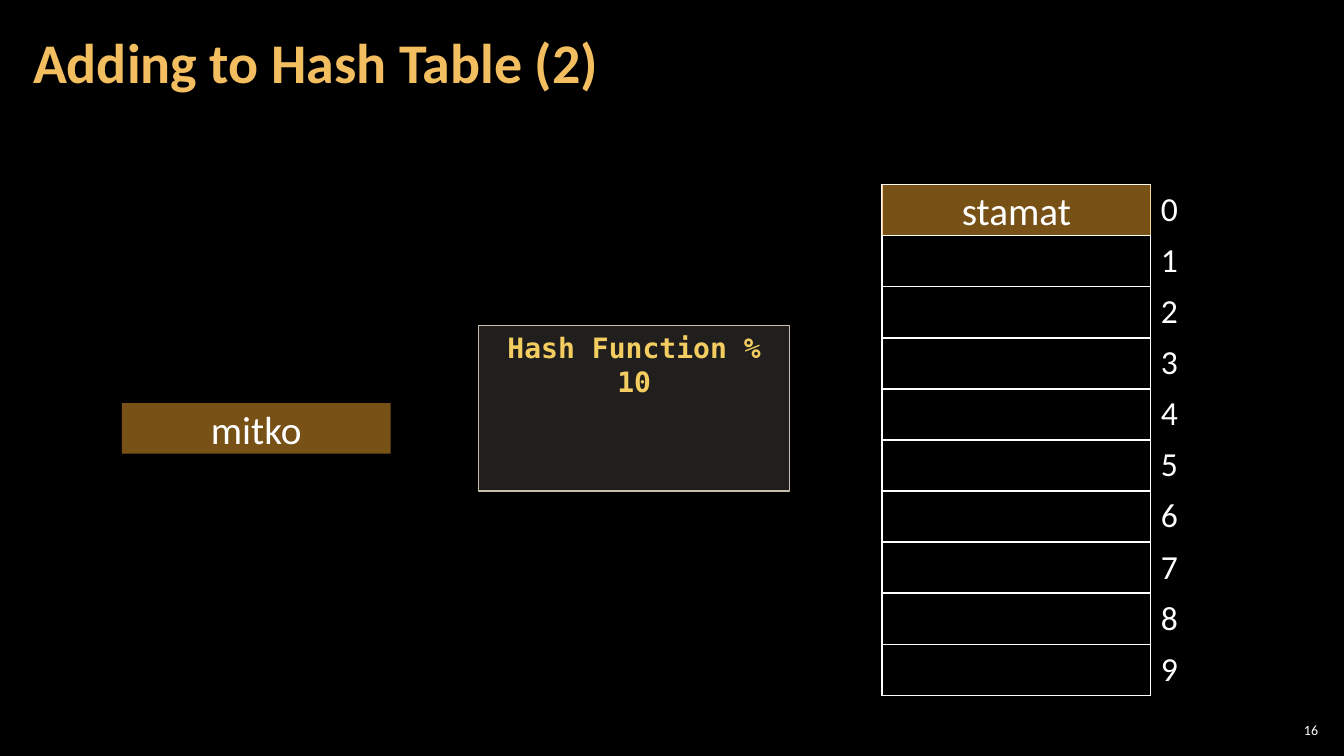
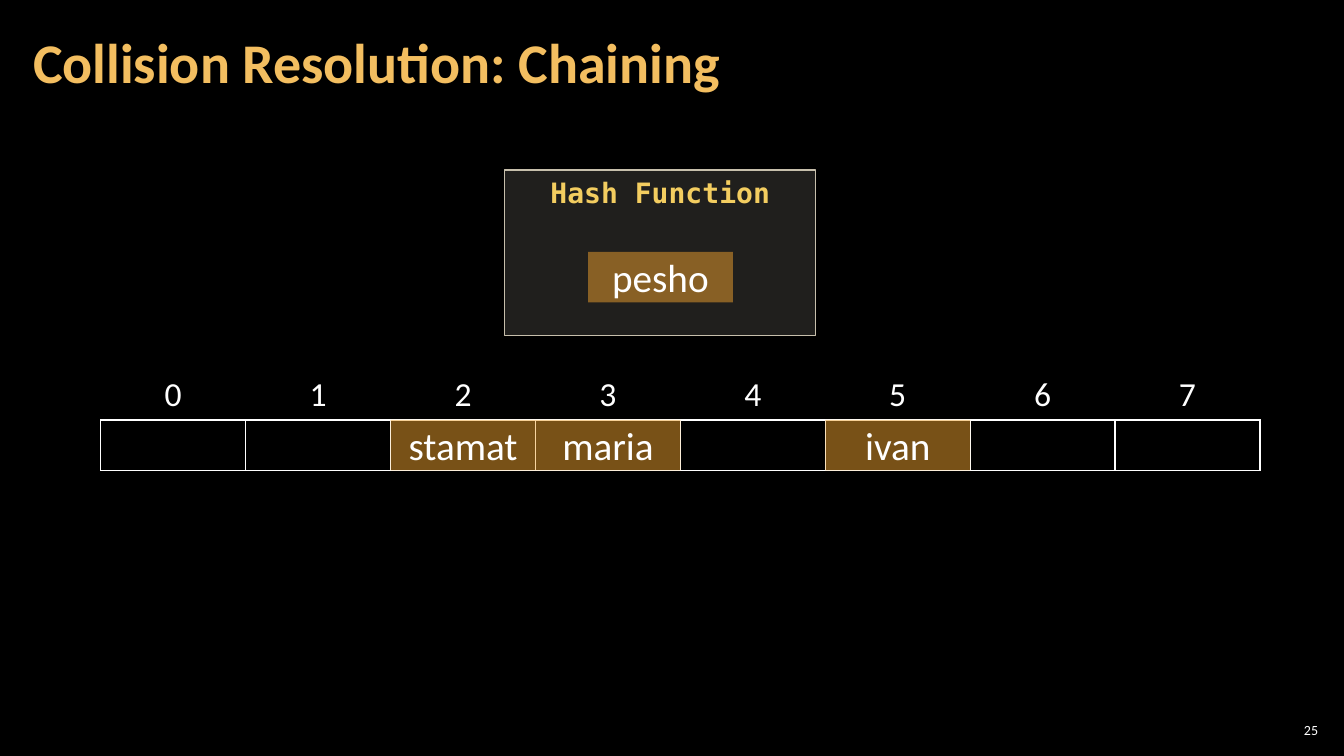
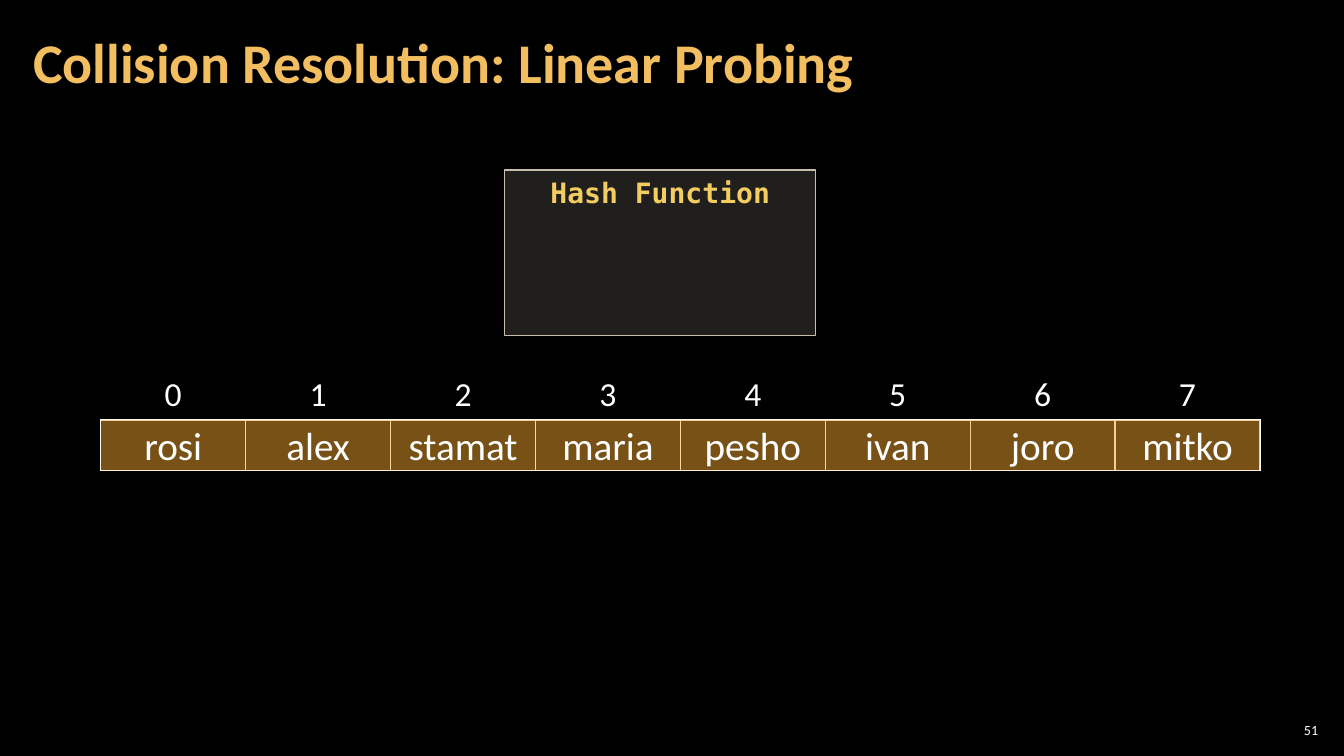
from dataclasses import dataclass

from lxml.etree import SubElement
from pptx import Presentation
from pptx.dml.color import RGBColor
from pptx.enum.shapes import MSO_SHAPE as Shape
from pptx.enum.text import MSO_ANCHOR as Anchor, MSO_AUTO_SIZE as AutoSize, PP_ALIGN as Align
from pptx.oxml.ns import qn
from pptx.util import Emu, Inches, Pt

COLUMNS, ROWS = 160, 90        # slide grid; one unit is a twelfth of an inch
UNIT = Inches(1) // 12
NO_STYLE_NO_GRID = "{2D5ABB26-0587-4C30-8999-92F81FD0307C}"


@dataclass(frozen=True)
class Theme:
    background: str = "000000"
    text: str = "FFFFFF"
    title: str = "F3BE60"
    entry: str = "F0A22E"
    entry_opacity: int = 50
    panel: str = "D9D5C7"
    panel_opacity: int = 15
    panel_line: str = "C7BFAC"
    panel_text: str = "F3CD60"
    font: str = "Calibri"
    code_font: str = "DejaVu Sans Mono"
    title_size: int = 40
    entry_size: int = 28
    index_size: int = 24
    panel_size: int = 20
    number_size: int = 10
    line_width: int = 1


def units(*lengths):
    return [Emu(round(length * UNIT)) for length in lengths]


class HashDeck:
    def __init__(self, theme):
        self.theme = theme
        self.deck = Presentation()
        self.deck.slide_width, self.deck.slide_height = units(COLUMNS, ROWS)
        fill = self.deck.slide_master.background.fill
        fill.solid()
        fill.fore_color.rgb = RGBColor.from_string(theme.background)
        self.slide = None

    def set_text(self, frame, text, size, color=None, font=None, bold=False,
                 align=Align.CENTER, anchor=Anchor.MIDDLE):
        frame.text = text
        frame.word_wrap = True
        frame.vertical_anchor = anchor
        para = frame.paragraphs[0]
        para.alignment = align
        for span in para.runs:
            span.font.name = font or self.theme.font
            span.font.size = Pt(size)
            span.font.bold = bold
            span.font.color.rgb = RGBColor.from_string(color or self.theme.text)

    # Title and page number
    def add_page(self, title, number):
        theme = self.theme
        self.slide = self.deck.slides.add_slide(self.deck.slide_layouts[5])
        box = self.slide.shapes.title
        box.left, box.top, box.width, box.height = units(2.5, 0.5, 125.6, 14.5)
        frame = box.text_frame
        frame.auto_size = AutoSize.NONE
        self.set_margins(frame, 0.12, 0.04)
        self.set_text(frame, title, theme.title_size, theme.title, bold=True, align=Align.LEFT)
        frame.paragraphs[0].line_spacing = 0.9

        box = self.slide.shapes.add_textbox(*units(151.8, 85.7, 5.6, 2.5))
        self.set_margins(box.text_frame, 0.04, 0.04)
        self.set_text(box.text_frame, str(number), theme.number_size, align=Align.RIGHT)

    @staticmethod
    def set_margins(frame, side, edge):
        frame.margin_left = frame.margin_right = Inches(side)
        frame.margin_top = frame.margin_bottom = Inches(edge)

    # Translucent shapes
    def add_box(self, kind, place, color, opacity):
        box = self.slide.shapes.add_shape(kind, *units(*place))
        box.shadow.inherit = False
        box.fill.solid()
        box.fill.fore_color.rgb = RGBColor.from_string(color)
        color_node = box._element.spPr.find(qn("a:solidFill"))[0]
        SubElement(color_node, qn("a:alpha")).set("val", str(opacity * 1000))
        box.line.fill.background()
        return box

    def add_entry(self, name, left, top, width):
        theme = self.theme
        box = self.add_box(Shape.FLOWCHART_PROCESS, (left, top, width, 6),
                           theme.entry, theme.entry_opacity)
        self.set_text(box.text_frame, name, theme.entry_size)

    def add_hash_function(self, text, left, top):
        theme = self.theme
        box = self.add_box(Shape.RECTANGLE, (left, top, 37, 19.7),
                           theme.panel, theme.panel_opacity)
        box.line.color.rgb = RGBColor.from_string(theme.panel_line)
        box.line.width = Pt(theme.line_width)
        self.set_text(box.text_frame, text, theme.panel_size, theme.panel_text,
                      theme.code_font, bold=True, anchor=Anchor.TOP)

    # Tables of slots with their indexes
    def add_table(self, left, top, widths, heights):
        place = units(left, top, sum(widths), sum(heights))
        frame = self.slide.shapes.add_table(len(heights), len(widths), *place)
        table = frame.table
        table.first_row = table.horz_banding = False
        table._tbl.tblPr.find(qn("a:tableStyleId")).text = NO_STYLE_NO_GRID
        for column, width in zip(table.columns, units(*widths)):
            column.width = width
        for row, height in zip(table.rows, units(*heights)):
            row.height = height
        return table

    def format_cell(self, cell, edges, text="", align=Align.CENTER):
        cell.margin_top = cell.margin_bottom = Inches(0.04)
        for edge in edges:
            line = SubElement(cell._tc.get_or_add_tcPr(), qn(f"a:ln{edge}"),
                              w=str(Pt(self.theme.line_width)))
            fill = SubElement(line, qn("a:solidFill"))
            SubElement(fill, qn("a:srgbClr")).set("val", self.theme.text)
        cell.fill.background()
        if text:
            self.set_text(cell.text_frame, text, self.theme.index_size, align=align)
            cell.vertical_anchor = Anchor.MIDDLE

    def add_vertical_array(self, count, left, top, entries):
        slot_width, slot_height = 32, 6.08
        table = self.add_table(left, top, [slot_width, 6.7], [slot_height] * count)
        for index in range(count):
            self.format_cell(table.cell(index, 0), "LRTB")
            self.format_cell(table.cell(index, 1), "L", str(index), Align.LEFT)
        for index, name in entries.items():
            self.add_entry(name, left, top + index * slot_height, slot_width)

    def add_horizontal_array(self, count, left, top, entries):
        slot_width, slot_height = 17.25, 6
        table = self.add_table(left, top, [slot_width] * count, [slot_height] * 2)
        for index in range(count):
            self.format_cell(table.cell(0, index), "B", str(index))
            self.format_cell(table.cell(1, index), "LRTB")
        for index, name in entries.items():
            self.add_entry(name, left + index * slot_width, top + slot_height, slot_width)

    def add_collision_page(self, strategy, number, entries):
        self.add_page(f"Collision Resolution: {strategy}", number)
        self.add_hash_function("Hash Function", 60.1, 20.25)
        self.add_horizontal_array(8, 12, 44, entries)


def main():
    pages = HashDeck(Theme())

    # Adding a key
    pages.add_page("Adding to Hash Table (2)", 16)
    pages.add_vertical_array(10, 105, 22, {0: "stamat"})
    pages.add_entry("mitko", 14.5, 48, 32)
    pages.add_hash_function("Hash Function % 10", 57, 38.75)

    # Chaining: one key is still being hashed
    pages.add_collision_page("Chaining", 25, {2: "stamat", 3: "maria", 5: "ivan"})
    pages.add_entry("pesho", 70, 30, 17.25)

    # Linear probing: every slot is taken
    names = ["rosi", "alex", "stamat", "maria", "pesho", "ivan", "joro", "mitko"]
    pages.add_collision_page("Linear Probing", 51, dict(enumerate(names)))

    pages.deck.save("out.pptx")


if __name__ == "__main__":
    main()
